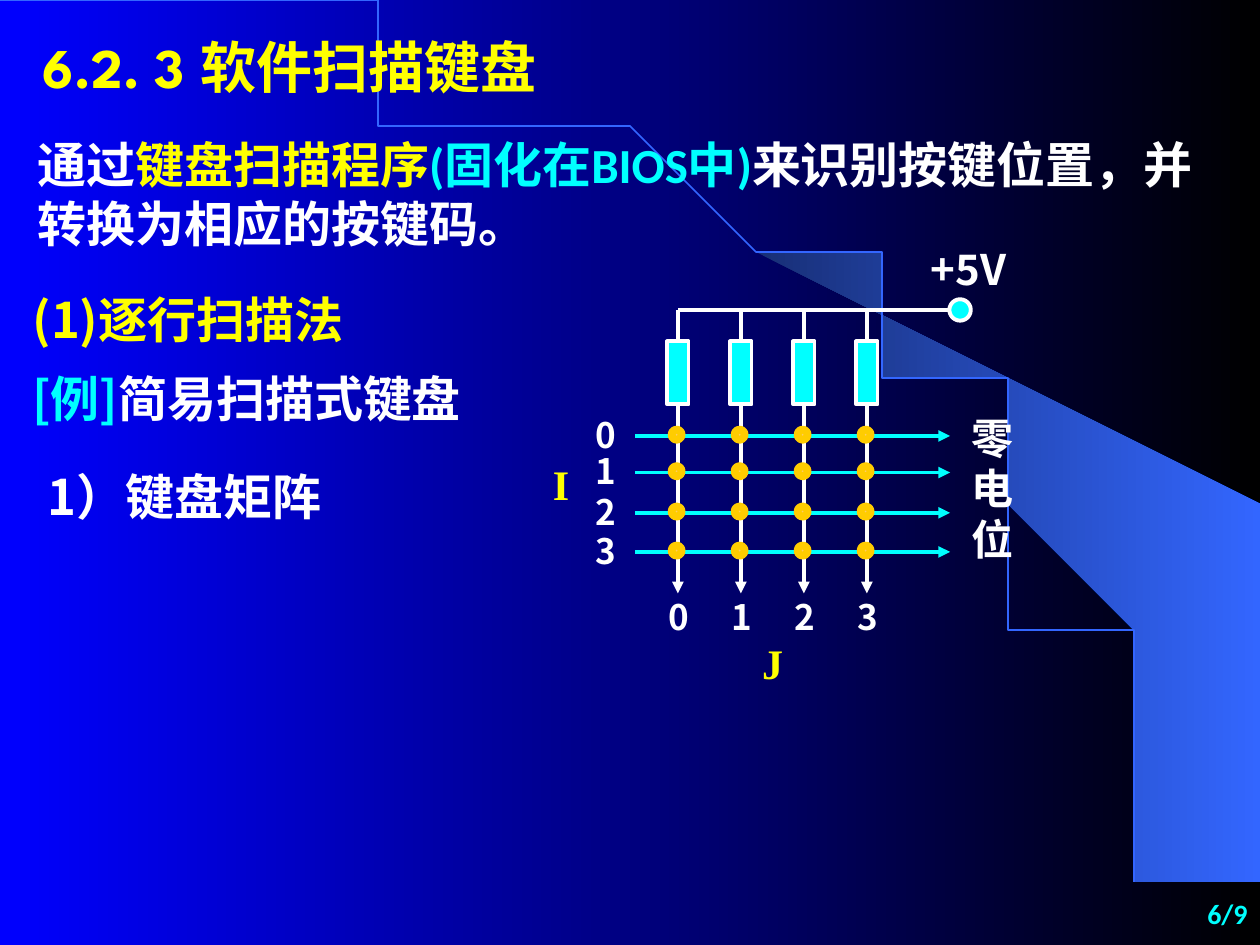
from lxml import etree
from pptx import Presentation
from pptx.dml.color import RGBColor
from pptx.enum.shapes import MSO_CONNECTOR, MSO_SHAPE
from pptx.enum.text import MSO_ANCHOR, MSO_AUTO_SIZE, PP_ALIGN
from pptx.oxml.ns import qn
from pptx.util import Inches, Pt

STRAIGHT = MSO_CONNECTOR.STRAIGHT
RECTANGLE, OVAL = MSO_SHAPE.RECTANGLE, MSO_SHAPE.OVAL
TOP, MIDDLE = MSO_ANCHOR.TOP, MSO_ANCHOR.MIDDLE
LEFT, CENTER, RIGHT = PP_ALIGN.LEFT, PP_ALIGN.CENTER, PP_ALIGN.RIGHT
NO_FIT = MSO_AUTO_SIZE.NONE
WHITE, YELLOW, CYAN, BLUE = "FFFFFF", "FFFF00", "00FFFF", "3366FF"
SANS, SERIF, LATIN = "Noto Sans CJK SC", "Times New Roman", "Calibri"
color = RGBColor.from_string

prs = Presentation()
prs.slide_width, prs.slide_height = Inches(10), Inches(7.5)
slide = prs.slides.add_slide(prs.slide_layouts[1])
shapes = slide.shapes


def write(box, place, runs, size, face=SANS, align=LEFT, anchor=TOP, wrap=True, tab_step=0):
    """Place a box and fill it with one paragraph of (text, colour) runs."""
    box.left, box.top, box.width, box.height = map(Inches, place)
    frame = box.text_frame
    frame.auto_size, frame.word_wrap, frame.vertical_anchor = NO_FIT, wrap, anchor
    paragraph = frame.paragraphs[0]
    props = paragraph._p.get_or_add_pPr()
    props.set("marL", "0")
    props.set("indent", "0")
    etree.SubElement(props, qn("a:buNone"))
    if tab_step:
        tabs = etree.SubElement(props, qn("a:tabLst"))
        for n in range(1, 4):
            etree.SubElement(tabs, qn("a:tab"), pos=str(Inches(n * tab_step)), algn="l")
    paragraph.alignment, paragraph.space_before = align, Pt(0)
    paragraph.line_spacing = Pt(round(size * 1.2))
    font = paragraph.font
    font.size, font.bold, font.name = Pt(size), True, face
    etree.SubElement(font._element, qn("a:ea"), typeface=SANS)
    for text, tint in runs:
        run = paragraph.add_run()
        run.text = text
        run.font.color.rgb = color(tint)
    return paragraph


def wire(x1, y1, x2, y2, tint, arrow=False):
    """Draw a straight wire, with an arrowhead at its end if asked."""
    line = shapes.add_connector(STRAIGHT, *map(Inches, (x1, y1, x2, y2)))
    line.line.color.rgb, line.line.width = color(tint), Pt(2.25)
    etree.SubElement(line._element.spPr, qn("a:effectLst"))
    if arrow:
        etree.SubElement(line.line._get_or_add_ln(), qn("a:tailEnd"), type="triangle")
    return line


# Background, wedge and arc
wedge_points = [
    (9.2, 7.48), (9.99, 7.49), (9.99, 4.23), (5.89, 1.73), (6.24, 1.99), (6.53, 2.22),
    (6.85, 2.5), (7.16, 2.8), (7.62, 3.3), (8.03, 3.84), (8.32, 4.31), (8.58, 4.79),
    (8.78, 5.28), (8.93, 5.72), (9.03, 6.09), (9.13, 6.56), (9.17, 6.96),
]
steps = [n / 60 for n in range(61)]
arc_points = [
    (3 * 5.08 * t * (1 - t) ** 2 + 3 * 9.2 * t**2 * (1 - t) + 9.2 * t**3,
     3 * 3.35 * t**2 * (1 - t) + 7.49 * t**3)
    for t in steps
]
outlines = []
for points, closed in ((wedge_points, True), (arc_points, False)):
    builder = shapes.build_freeform(*points[0], scale=Inches(1))
    builder.add_line_segments(points[1:], close=closed)
    outlines.append(builder.convert_to_shape())
    outlines[-1].shadow.inherit = False
wedge, arc = outlines
wedge.line.fill.background()
arc.fill.background()
arc.line.color.rgb, arc.line.width = color(BLUE), Pt(1)
for fill, ends in ((slide.background.fill, ("0000FF", "000000")), (wedge.fill, ("182F76", BLUE))):
    fill.gradient()
    fill.gradient_angle = 0
    for stop, tint in zip(fill.gradient_stops, ends):
        stop.color.rgb = color(tint)

# Heading and introduction
heading, intro = shapes.title, slide.placeholders[1]
for placeholder in (heading, intro):
    shapes._spTree.append(placeholder._element)  # in front of the arc
write(heading, (0.24, 0.21, 4.76, 0.64), [("6.2. 3 软件扫描键盘", YELLOW)], 32, "League Spartan")
intro_text = write(intro, (0.2, 1.01, 9.61, 1.04), [
    ("通过", WHITE), ("键盘扫描程序", YELLOW), ("(固化在BIOS中)", CYAN),
    ("来识别按键位置，并转换为相应的按键码。", WHITE)], 28)
intro_text.runs[2].font.name = LATIN

# Wires of the key matrix
columns = [5.38 + 0.5 * n for n in range(4)]
rows = [3.46, 3.75, 4.07, 4.38]
rail, resistor_top, resistor_bottom = 2.46, 2.71, 3.21
for y in rows:
    wire(5.04, y, 7.54, y, CYAN, arrow=True)
wire(7.54, rail, columns[0], rail, WHITE)

# Resistors, supply terminal and key contacts
parts = [(RECTANGLE, x, 2.96, 0.17, 0.5, CYAN, WHITE, 2.25) for x in columns]
parts.append((OVAL, 7.62, rail, 0.17, 0.17, CYAN, WHITE, 2.25))
parts += [(OVAL, x - 0.01, y - 0.01, 0.08, 0.08, "FFCC66", "FFCC00", 4.5)
          for x in columns for y in rows]
for kind, x, y, width, height, inside, edge, weight in parts:
    if kind == RECTANGLE:
        lead = wire(x, rail, x, resistor_top, WHITE)
        drop = wire(x, resistor_bottom, x, 4.71, WHITE, arrow=True)
    part = shapes.add_shape(kind, *map(Inches, (x - width / 2, y - height / 2, width, height)))
    part.shadow.inherit = False
    part.fill.solid()
    part.fill.fore_color.rgb = color(inside)
    part.line.color.rgb, part.line.width = color(edge), Pt(weight)
    if kind == RECTANGLE:
        lead.end_connect(part, 0)
        drop.begin_connect(part, 2)

# Subheadings, matrix labels and page number
labels = [
    ((0.16, 2.24, 3.19, 0.57), [("(1)逐行扫描法", YELLOW)], 28, {}),
    ((0.16, 2.87, 4.13, 0.57), [("[例]", CYAN), ("简易扫描式键盘", WHITE)], 28, {}),
    ((0.28, 3.65, 2.83, 0.57), [("1）键盘矩阵", WHITE)], 28, {}),
    ((7.29, 1.88, 1.25, 0.5), [("+5V", WHITE)], 24, {}),
    ((5.21, 4.68, 2.58, 0.48), [("0\t1\t2\t3", WHITE)], 20, {"tab_step": 0.32}),
    ((7.6, 3.22, 0.55, 1.3), [("零电位", WHITE)], 24, {"face": SERIF, "align": CENTER}),
    ((4.29, 3.59, 0.33, 0.5), [("I", YELLOW)], 24, {"face": SERIF, "wrap": False}),
    ((5.95, 5.01, 0.36, 0.5), [("J", YELLOW)], 24, {"face": SERIF, "wrap": False}),
    ((7.92, 7, 2.08, 0.5), [("6/9", CYAN)], 16,
     {"face": LATIN, "align": RIGHT, "anchor": MIDDLE}),
]
labels += [((4.63, y - 0.23, 0.5, 0.44), [(str(n), WHITE)], 20, {}) for n, y in enumerate(rows)]
for place, runs, size, options in labels:
    write(shapes.add_textbox(0, 0, 0, 0), place, runs, size, **options)

prs.save("out.pptx")
